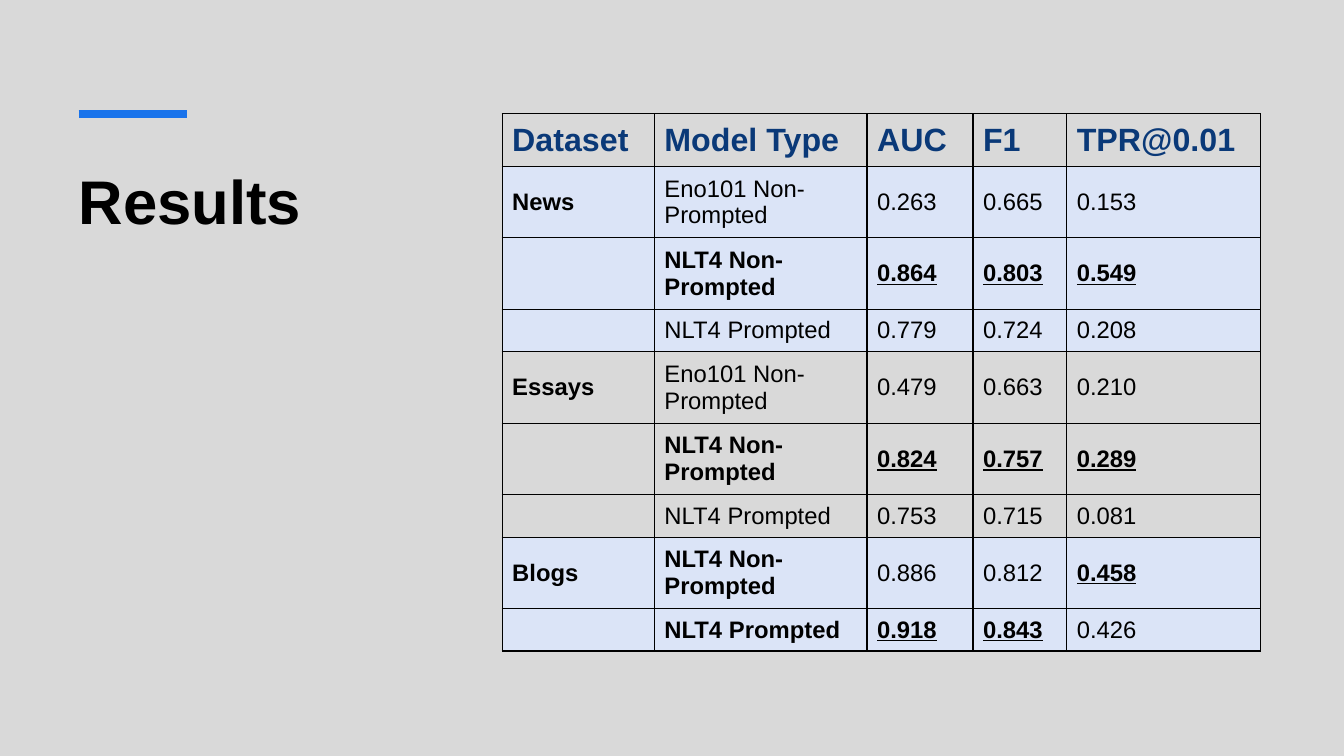
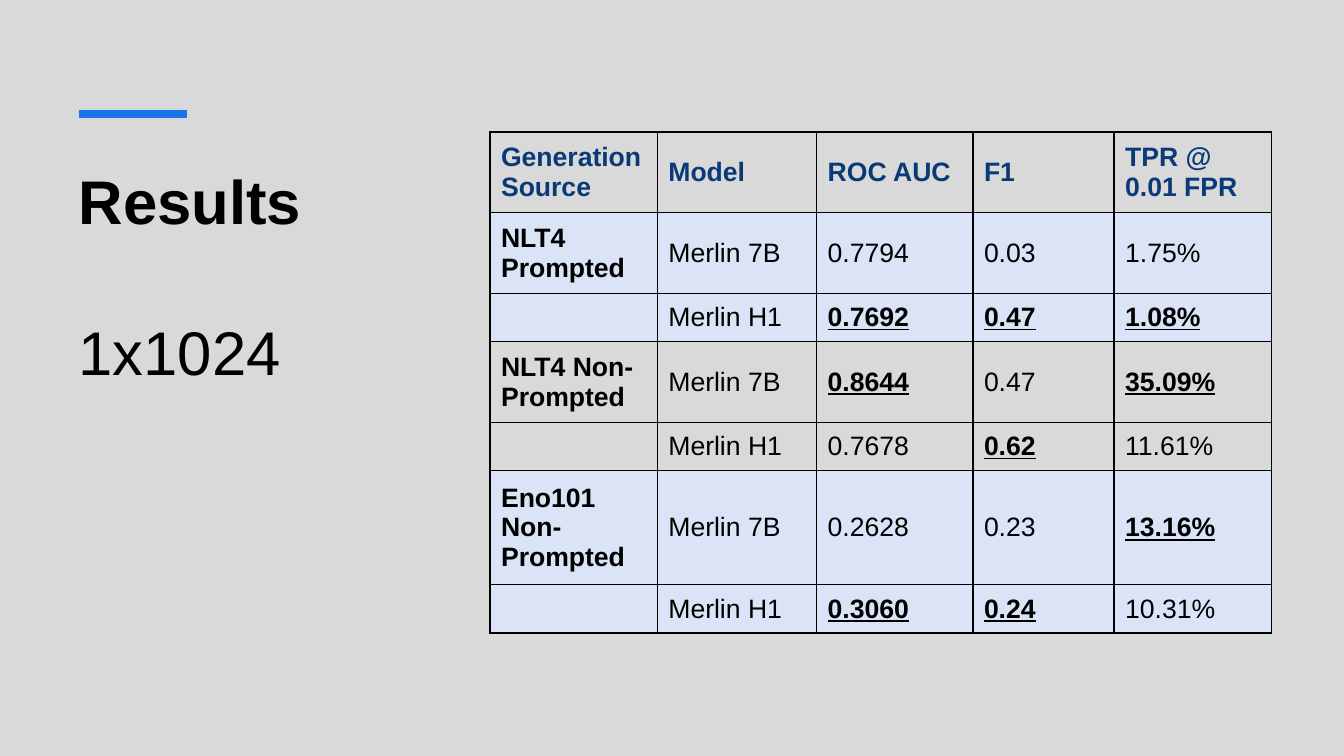
from lxml.etree import SubElement
from pptx import Presentation
from pptx.dml.color import RGBColor
from pptx.enum.shapes import MSO_CONNECTOR
from pptx.enum.text import MSO_ANCHOR, MSO_AUTO_SIZE, PP_ALIGN
from pptx.oxml.ns import qn
from pptx.util import Inches, Pt

COLORS = {
    "background": "D9D9D9",
    "accent": "1973EB",
    "header": "0A3978",
    "text": "000000",
    "band": "DBE4F7",
    "border": "000000",
}
FONT = "Arial"
TITLE_BOX = (0.7, 1.5, 3.55, 2.95)
ACCENT_LINE = (0.78, 1.13, 1.07)
TITLE_SIZE = 44
SUBTITLE_GAP = 55
BEST = "*"

MODEL_RESULTS = {
    "title": ["Results"],
    "position": (4.98, 1.13),
    "columns": [1.51, 2.11, 1.05, 0.93, 1.92],
    "heights": [0.52, 0.71, 0.71, 0.42, 0.71, 0.71, 0.42, 0.71, 0.42],
    "sizes": {"header": 23, "body": 17},
    "inset": 0.1,
    "rows": [
        ["Dataset", "Model Type", "AUC", "F1", "TPR@0.01"],
        ["News", "Eno101 Non-Prompted", "0.263", "0.665", "0.153"],
        ["", "*NLT4 Non-Prompted", "*0.864", "*0.803", "*0.549"],
        ["", "NLT4 Prompted", "0.779", "0.724", "0.208"],
        ["Essays", "Eno101 Non-Prompted", "0.479", "0.663", "0.210"],
        ["", "*NLT4 Non-Prompted", "*0.824", "*0.757", "*0.289"],
        ["", "NLT4 Prompted", "0.753", "0.715", "0.081"],
        ["Blogs", "*NLT4 Non-Prompted", "0.886", "0.812", "*0.458"],
        ["", "*NLT4 Prompted", "*0.918", "*0.843", "0.426"],
    ],
}

SOURCE_RESULTS = {
    "title": ["Results", "1x1024"],
    "position": (4.86, 1.31),
    "columns": [1.66, 1.58, 1.55, 1.4, 1.56],
    "heights": [0.8, 0.8, 0.48, 0.8, 0.48, 1.13, 0.48],
    "sizes": {"header": 19, "body": 19},
    "inset": 0.11,
    "rows": [
        ["Generation Source", "Model", "ROC AUC", "F1", "TPR @ 0.01 FPR"],
        ["NLT4 Prompted", "Merlin 7B", "0.7794", "0.03", "1.75%"],
        ["", "Merlin H1", "*0.7692", "*0.47", "*1.08%"],
        ["NLT4 Non-Prompted", "Merlin 7B", "*0.8644", "0.47", "*35.09%"],
        ["", "Merlin H1", "0.7678", "*0.62", "11.61%"],
        ["Eno101 Non-Prompted", "Merlin 7B", "0.2628", "0.23", "*13.16%"],
        ["", "Merlin H1", "*0.3060", "*0.24", "10.31%"],
    ],
}


def color(name):
    return RGBColor.from_string(COLORS[name])


def set_attributes(target, values):
    for name, value in values.items():
        setattr(target, name, value)


def format_font(font, size, color_name, bold=False, underline=False):
    set_attributes(font, {"name": FONT, "size": Pt(size), "bold": bold, "underline": underline})
    font.color.rgb = color(color_name)


def add_title(slide, lines, box):
    title = slide.shapes.title
    set_attributes(title, dict(zip(("left", "top", "width", "height"), map(Inches, box))))
    frame = title.text_frame
    set_attributes(frame, {
        "word_wrap": True,
        "auto_size": MSO_AUTO_SIZE.NONE,
        "vertical_anchor": MSO_ANCHOR.TOP,
        "margin_left": Inches(0.08),
        "margin_top": Inches(0.12),
    })
    frame.text = "\n".join(lines)
    for index, paragraph in enumerate(frame.paragraphs):
        set_attributes(paragraph, {
            "alignment": PP_ALIGN.LEFT,
            "line_spacing": 1.0,
            "space_before": Pt(SUBTITLE_GAP if index else 0),
        })
        format_font(paragraph.runs[0].font, TITLE_SIZE, "text", bold=index == 0)


def add_accent_line(slide, left, top, width):
    line = slide.shapes.add_connector(
        MSO_CONNECTOR.STRAIGHT, Inches(left), Inches(top), Inches(left + width), Inches(top))
    line.line.color.rgb = color("accent")
    line.line.width = Pt(6)
    SubElement(line._element.spPr, qn("a:effectLst"))


def add_borders(cell):
    properties = cell._tc.get_or_add_tcPr()
    for index, side in enumerate(("lnL", "lnR", "lnT", "lnB")):
        border = properties.makeelement(qn(f"a:{side}"), {"w": str(Pt(1))})
        fill = SubElement(border, qn("a:solidFill"))
        SubElement(fill, qn("a:srgbClr"), val=COLORS["border"])
        properties.insert(index, border)


def fill_cell(cell, text, shaded, inset, **font_format):
    set_attributes(cell, {
        "vertical_anchor": MSO_ANCHOR.MIDDLE,
        "margin_left": Inches(inset),
        "margin_right": Inches(inset),
        "margin_top": Inches(0.05),
        "margin_bottom": Inches(0.05),
    })
    if shaded:
        cell.fill.solid()
        cell.fill.fore_color.rgb = color("band")
    else:
        cell.fill.background()
    add_borders(cell)
    if text:
        run = cell.text_frame.paragraphs[0].add_run()
        run.text = text
        format_font(run.font, **font_format)


def add_results_table(slide, content):
    rows, columns, heights = content["rows"], content["columns"], content["heights"]
    left, top = content["position"]
    table = slide.shapes.add_table(
        len(rows), len(columns), Inches(left), Inches(top),
        Inches(sum(columns)), Inches(sum(heights))).table
    set_attributes(table, {"first_row": False, "horz_banding": False})
    for column, width in zip(table.columns, columns):
        column.width = Inches(width)
    for row, height in zip(table.rows, heights):
        row.height = Inches(height)

    shaded = False
    for row_index, values in enumerate(rows):
        header = row_index == 0
        if values[0] and not header:
            shaded = not shaded
        for column_index, value in enumerate(values):
            best = value.startswith(BEST)
            fill_cell(
                table.cell(row_index, column_index), value.removeprefix(BEST),
                shaded, content["inset"],
                size=content["sizes"]["header" if header else "body"],
                color_name="header" if header else "text",
                bold=header or best or column_index == 0,
                underline=best and column_index > 1)


def add_results_slide(presentation, content):
    slide = presentation.slides.add_slide(presentation.slide_layouts.get_by_name("Title Only"))
    add_title(slide, content["title"], TITLE_BOX)
    add_accent_line(slide, *ACCENT_LINE)
    add_results_table(slide, content)


def main():
    presentation = Presentation()
    set_attributes(presentation, {"slide_width": Inches(13.33), "slide_height": Inches(7.5)})
    background = presentation.slide_master.background.fill
    background.solid()
    background.fore_color.rgb = color("background")
    for content in (MODEL_RESULTS, SOURCE_RESULTS):
        add_results_slide(presentation, content)
    presentation.save("out.pptx")


if __name__ == "__main__":
    main()
